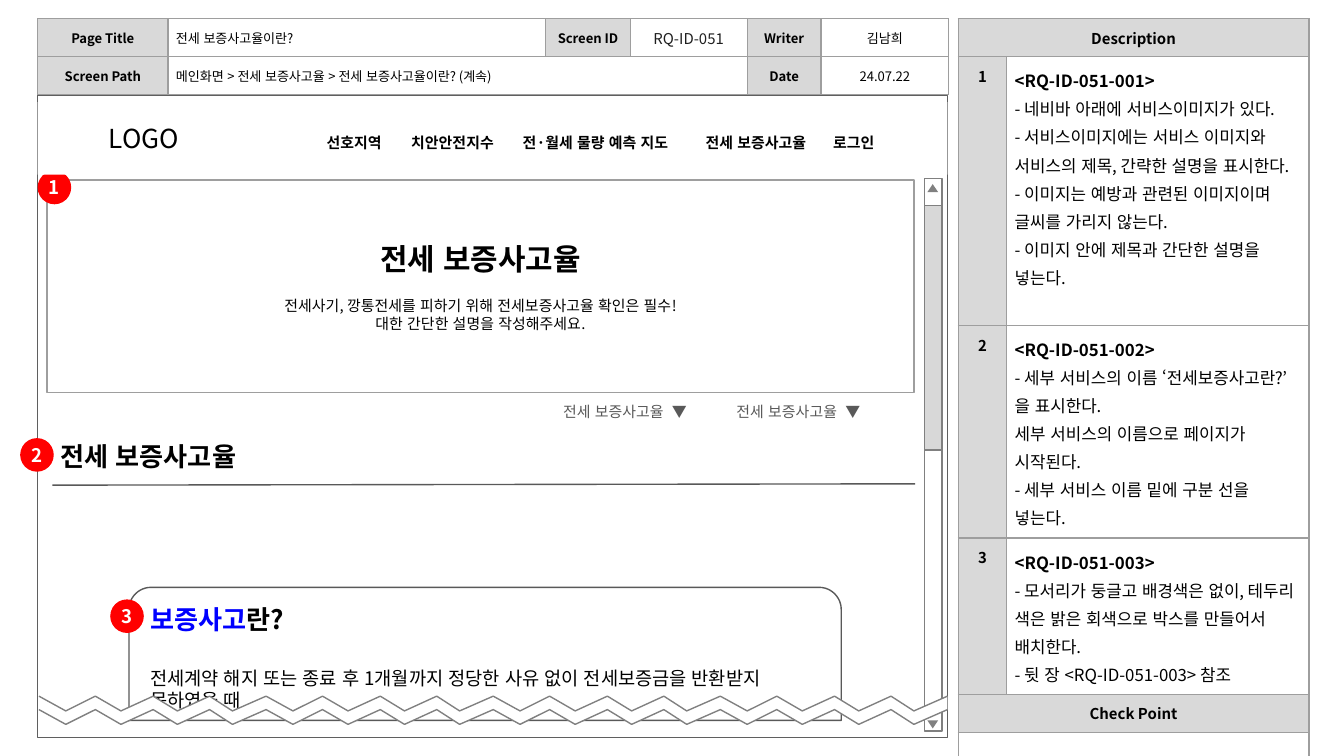
from lxml import etree
from pptx import Presentation
from pptx.dml.color import RGBColor
from pptx.enum.lang import MSO_LANGUAGE_ID
from pptx.enum.shapes import MSO_CONNECTOR, MSO_SHAPE
from pptx.enum.text import MSO_ANCHOR, PP_ALIGN
from pptx.oxml.ns import qn
from pptx.util import Inches, Pt

RECT, OVAL = MSO_SHAPE.RECTANGLE, MSO_SHAPE.OVAL
ROUND, ARROW = MSO_SHAPE.ROUND_2_SAME_RECTANGLE, MSO_SHAPE.ISOSCELES_TRIANGLE
TOP, MIDDLE = MSO_ANCHOR.TOP, MSO_ANCHOR.MIDDLE
LEFT, CENTER = PP_ALIGN.LEFT, PP_ALIGN.CENTER
KOREAN = MSO_LANGUAGE_ID.KOREAN
FONT = "Noto Sans CJK KR"
BLACK, WHITE, DARK = "000000", "FFFFFF", "595959"
HEAD, EDGE, GRAY, RED = "D9D9D9", "9E9E9E", "808080", "FF0000"
rgb = RGBColor.from_string


def paint(shape, fill=None, line=None):
    shape.shadow.inherit = False
    for part, tone in ((shape.fill, fill), (shape.line.fill, line)):
        if tone:
            part.solid()
            part.fore_color.rgb = rgb(tone)
        else:
            part.background()
    if line:
        shape.line.width = Pt(0.75)
    return shape


def write(box, lines, anchor=TOP, align=LEFT, pad=0.1, **form):
    """Fill a text frame or cell; a line is a list of (text, size, bold, colour)."""
    frame = getattr(box, "text_frame", box)
    frame.word_wrap = True
    box.vertical_anchor = anchor
    for side in ("left", "top", "right", "bottom"):
        setattr(box, "margin_" + side, Inches(pad))
    for i, line in enumerate(lines):
        para = frame.add_paragraph() if i else frame.paragraphs[0]
        for key, val in {"alignment": align, **form}.items():
            setattr(para, key, val)
        for text, size, bold, tone in line:
            run = para.add_run()
            run.text = text
            look = {"size": Pt(size), "bold": bold, "name": FONT, "language_id": KOREAN}
            for key, val in look.items():
                setattr(run.font, key, val)
            run.font.color.rgb = rgb(tone)
            face = etree.SubElement(run.font._element, qn("a:ea"))
            face.set("typeface", FONT)
    return frame


deck = Presentation()
deck.slide_width = Inches(10)
deck.slide_height = deck.slide_width * 9 // 16
slide = deck.slides.add_slide(deck.slide_layouts[6])
shapes = slide.shapes

# Page frame
frame = shapes.add_shape(RECT, *map(Inches, (0.28, 0.71, 6.77, 4.78)))
paint(frame, WHITE, "5F5F5F")

# Both tables: place, column widths, row heights
grids = []
for left, cols, rows in (
    (7.13, (0.36, 2.25), (0.28, 2, 1.58, 1.16, 0.28, 0.69)),
    (0.28, (0.97, 2.81, 0.63, 0.87, 0.55, 0.95), (0.28, 0.28)),
):
    size = map(Inches, (left, 0.14, sum(cols), sum(rows)))
    grid = shapes.add_table(len(rows), len(cols), *size).table
    grid.first_row = grid.horz_banding = False
    for col, width in zip(grid.columns, cols):
        col.width = Inches(width)
    for row, height in zip(grid.rows, rows):
        row.height = Inches(height)
    for cell in grid.iter_cells():
        props = cell._tc.get_or_add_tcPr()
        for side in "LRTB":
            edge = etree.SubElement(props, qn("a:ln" + side), w=str(Pt(0.75)))
            fill = etree.SubElement(edge, qn("a:solidFill"))
            etree.SubElement(fill, qn("a:srgbClr"), val=EDGE)
        cell.fill.solid()
        cell.fill.fore_color.rgb = rgb(WHITE)
    grids.append(grid)
notes, info = grids

# Description table
for row, title in ((0, "Description"), (4, "Check Point"), (5, "")):
    cell = notes.cell(row, 0)
    cell.merge(notes.cell(row, 1))
    if title:
        cell.fill.fore_color.rgb = rgb(HEAD)
        write(cell, [[(title, 8, True, BLACK)]], align=CENTER, pad=0.06)

texts = (
    ("- 네비바 아래에 서비스이미지가 있다.",
     "- 서비스이미지에는 서비스 이미지와 서비스의 제목, 간략한 설명을 표시한다.",
     "- 이미지는 예방과 관련된 이미지이며 글씨를 가리지 않는다.",
     "- 이미지 안에 제목과 간단한 설명을 넣는다."),
    ("- 세부 서비스의 이름 ‘전세보증사고란?’ 을 표시한다.",
     "세부 서비스의 이름으로 페이지가 시작된다.",
     "- 세부 서비스 이름 밑에 구분 선을 넣는다."),
    ("- 모서리가 둥글고 배경색은 없이, 테두리 색은 밝은 회색으로 박스를 만들어서 배치한다.",
     "- 뒷 장 <RQ-ID-051-003> 참조"),
)
for num, items in enumerate(texts, 1):
    cell = notes.cell(num, 0)
    cell.fill.fore_color.rgb = rgb(HEAD)
    write(cell, [[(str(num), 8, True, BLACK)]], align=CENTER, pad=0.06)
    lines = [[(f"<RQ-ID-051-00{num}>", 9, True, BLACK)]]
    lines += [[(item, 9, False, BLACK)] for item in items]
    cell = notes.cell(num, 1)
    write(cell, lines, pad=0.06, line_spacing=1.15)
    cell.margin_right = Inches(0.08)

# Page info table: labels and values
info.cell(1, 1).merge(info.cell(1, 3))
for row, col, label, value in (
    (0, 0, "Page Title", "전세 보증사고율이란?"),
    (0, 2, "Screen ID", "RQ-ID-051"),
    (0, 4, "Writer", "김남희"),
    (1, 0, "Screen Path", "메인화면 > 전세 보증사고율 > 전세 보증사고율이란? (계속)"),
    (1, 4, "Date", "24.07.22"),
):
    cell = info.cell(row, col)
    cell.fill.fore_color.rgb = rgb("D8D8D8" if label == "Date" else HEAD)
    write(cell, [[(label, 7, True, BLACK)]], MIDDLE, CENTER, 0.06)
    size, tone = (8, "1F1F1F") if label == "Screen ID" else (7, BLACK)
    write(info.cell(row, col + 1), [[(value, size, False, tone)]], MIDDLE,
          CENTER if col else LEFT, 0.06)

# Section title, filters and divider
box = shapes.add_textbox(*map(Inches, (0.35, 3.09, 6.45, 0.6)))
write(box.text_frame, [[("전세 보증사고율", 14, True, BLACK)]], MIDDLE)
box = shapes.add_textbox(*map(Inches, (4.06, 2.93, 2.74, 0.34)))
menu = write(box.text_frame,
             [[("전세 보증사고율\t▼\t전세 보증사고율\t▼", 8, False, DARK)]])
menu.margin_left = Inches(0.13)
rule = shapes.add_connector(MSO_CONNECTOR.STRAIGHT,
                            *map(Inches, (6.81, 3.6, 0.39, 3.61)))
rule.line.color.rgb = rgb(DARK)
rule.line.width = Pt(0.75)
etree.SubElement(rule._element.spPr, qn("a:effectLst"))

# Definition text
box = shapes.add_textbox(*map(Inches, (1.02, 4.39, 5.28, 1.03)))
term = write(box.text_frame, [
    [("보증사고", 14, True, "0000FF"), ("란?", 14, True, BLACK)],
    [("전세계약 해지 또는 종료 후 1개월까지 정당한 사유 없이 "
      "전세보증금을 반환받지 못하였을 때", 10, False, BLACK)],
])
term.margin_right = Inches(0.2)
term.paragraphs[1].space_before = Pt(17)

# Banner
hero = shapes.add_shape(RECT, *map(Inches, (0.35, 1.34, 6.45, 1.58)))
paint(hero, WHITE, EDGE)
text = write(hero.text_frame, [
    [("전세 보증사고율", 16, True, BLACK)],
    [("전세사기, 깡통전세를 피하기 위해 전세보증사고율 확인은 필수!", 8, False, BLACK)],
    [("대한 간단한 설명을 작성해주세요.", 8, False, BLACK)],
], MIDDLE, CENTER)
text.paragraphs[1].space_before = Pt(11)

# Scroll bar
for kind, place, fill, line, turn in (
    (RECT, (6.88, 1.33, 0.13, 4.11), WHITE, GRAY, 0),
    (ARROW, (6.9, 5.36, 0.08, 0.06), GRAY, None, 180),
    (ARROW, (6.9, 1.37, 0.08, 0.06), GRAY, None, 0),
    (RECT, (6.88, 1.53, 0.13, 1.82), "D8D8D8", GRAY, 0),
):
    part = paint(shapes.add_shape(kind, *map(Inches, place)), fill, line)
    part.rotation = turn

# Rounded box and number marks
card = shapes.add_shape(ROUND, *map(Inches, (0.96, 4.37, 5.3, 0.99)))
paint(card, line=DARK)
for num, (x, y) in enumerate(((0.28, 1.27), (0.15, 3.26), (0.82, 4.46)), 1):
    mark = shapes.add_shape(OVAL, *map(Inches, (x, y, 0.25, 0.25)))
    paint(mark, RED)
    write(mark.text_frame, [[(str(num), 10, True, WHITE)]], MIDDLE, CENTER, 0)

# Torn edge: four equal waves, a white band and its two outlines
steps = (0, 0.2, 0.42, 0.61, 0.85, 1.03, 1.27, 1.44)
xs = [0.29 + 1.69 * wave + step for wave in range(4) for step in steps] + [7.05]
upper, lower = (
    [(Inches(x), Inches(y + 0.11 * (i % 2))) for i, x in enumerate(xs)]
    for y in (5.18, 5.28)
)
for points, fill, line in (
    (upper + lower[::-1], WHITE, None), (upper, None, GRAY), (lower, None, GRAY),
):
    path = shapes.build_freeform(*points[0])
    path.add_line_segments(points[1:], close=bool(fill))
    paint(path.convert_to_shape(), fill, line)

# Navigation bar
bar = shapes.add_shape(RECT, *map(Inches, (0.28, 0.76, 6.77, 0.54)))
paint(bar, WHITE)
links = "\t선호지역\t치안안전지수\t전·월세 물량 예측 지도\t전세 보증사고율\t로그인"
nav = write(bar.text_frame,
            [[("LOGO", 14, False, BLACK), (links, 8, True, BLACK)]], MIDDLE)
nav.margin_left = Inches(0.53)

# Tab stops
for text, stops in ((menu, (0.81, 1.29, 2.1)), (nav, (1.62, 2.25, 3.08, 4.44, 5.39))):
    tabs = etree.SubElement(text.paragraphs[0]._p.get_or_add_pPr(), qn("a:tabLst"))
    for stop in stops:
        etree.SubElement(tabs, qn("a:tab"), pos=str(Inches(stop)), algn="l")

deck.save("out.pptx")
